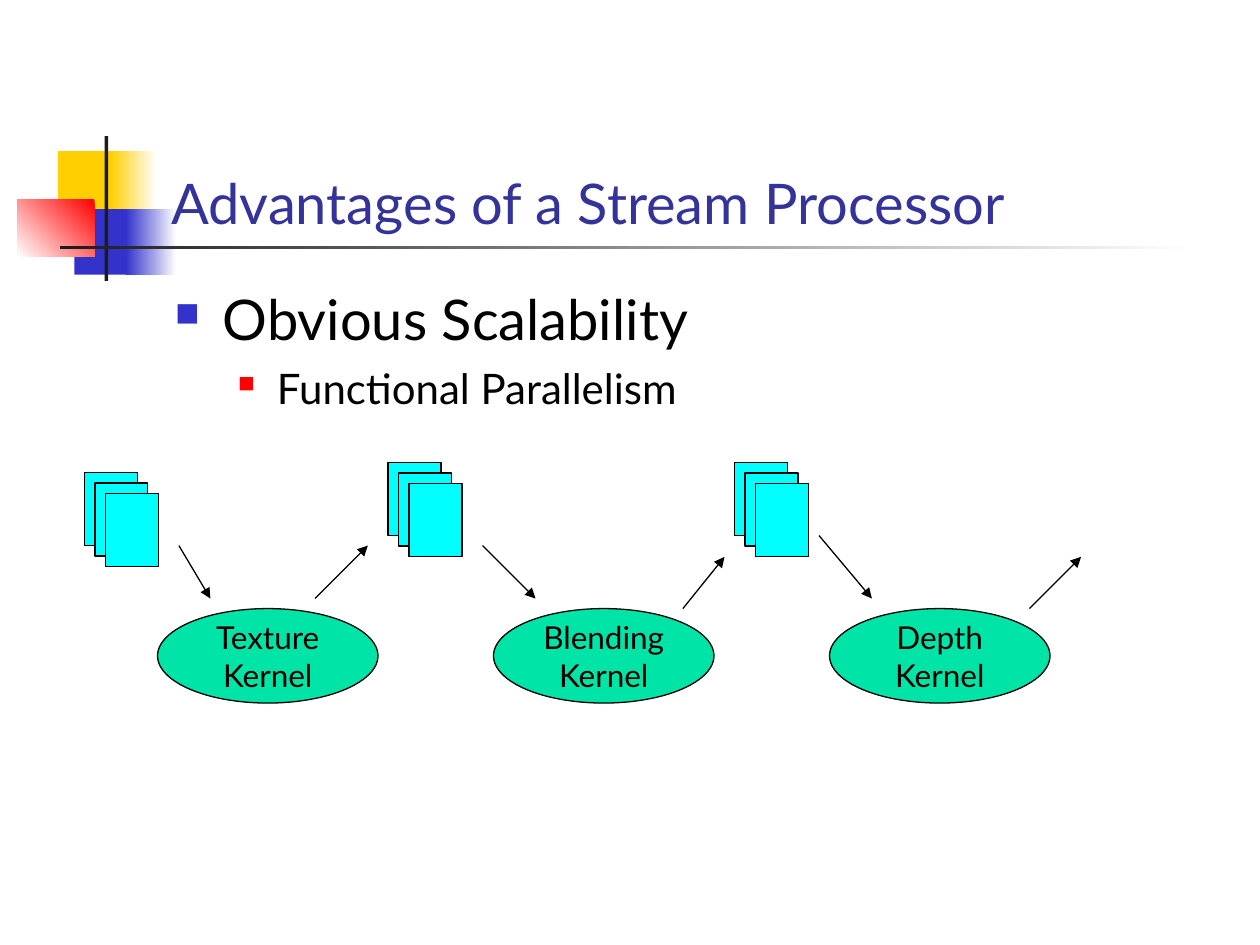
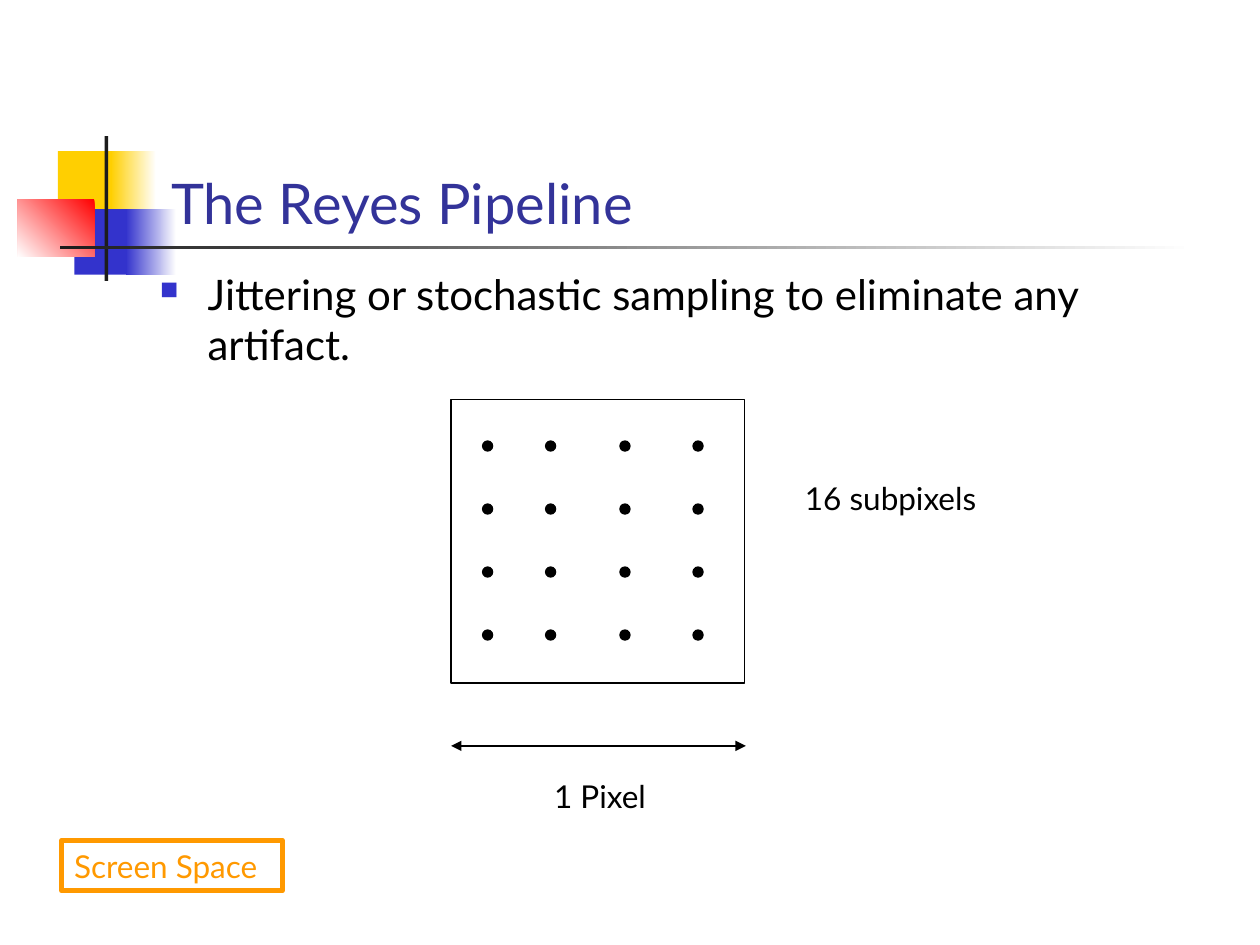
"""Build two slides on stream processors and the Reyes pipeline."""
from lxml.etree import SubElement
from pptx import Presentation
from pptx.dml.color import RGBColor
from pptx.enum.shapes import MSO_CONNECTOR, MSO_SHAPE
from pptx.enum.text import MSO_ANCHOR, PP_ALIGN
from pptx.oxml.ns import qn
from pptx.util import Inches, Pt

FONT = "Lato"
WHITE = RGBColor(0xFF, 0xFF, 0xFF)
BLACK = RGBColor(0x00, 0x00, 0x00)
CHARCOAL = RGBColor(0x1C, 0x1C, 0x1C)
YELLOW = RGBColor(0xFF, 0xCF, 0x01)
BLUE = RGBColor(0x33, 0x33, 0xCC)
RED = RGBColor(0xFF, 0x00, 0x00)
NAVY = RGBColor(0x33, 0x33, 0x99)
GREEN = RGBColor(0x00, 0xE4, 0xA8)
CYAN = RGBColor(0x00, 0xFF, 0xFF)
ORANGE = RGBColor(0xFF, 0x99, 0x00)


def draw(parent, kind, place, fill=None, line=None, width=0.75):
    """Add a preset shape with an optional flat fill and outline."""
    shape = parent.shapes.add_shape(kind, *[Inches(length) for length in place])
    shape.shadow.inherit = False
    if fill is None:
        shape.fill.background()
    else:
        shape.fill.solid()
        shape.fill.fore_color.rgb = fill
    if line is None:
        shape.line.fill.background()
    else:
        shape.line.color.rgb = line
        shape.line.width = Pt(width)
    return shape


def write(box, text, size, color=BLACK, align=PP_ALIGN.LEFT, anchor=MSO_ANCHOR.TOP):
    """Put text into a box, one paragraph a line."""
    frame = box.text_frame
    frame.text = text
    frame.word_wrap = True
    frame.vertical_anchor = anchor
    for para in frame.paragraphs:
        para.alignment = align
        for span in para.runs:
            span.font.name = FONT
            span.font.size = Pt(size)
            span.font.color.rgb = color
    return frame


deck = Presentation()
deck.slide_width = Inches(10)
deck.slide_height = Inches(7.5)

ornaments = [
    ((0.46, 1.2, 0.48, 0.52), YELLOW, None, 0),
    ((0.88, 1.2, 0.36, 0.52), WHITE, YELLOW, 180),
    ((0.59, 1.66, 0.46, 0.52), BLUE, None, 0),
    ((1, 1.66, 0.4, 0.52), WHITE, BLUE, 180),
    ((0.14, 1.58, 0.61, 0.46), RED, WHITE, 225),
    ((0.83, 1.08, 0.03, 1.15), CHARCOAL, None, 0),
    ((0.48, 1.95, 9, 0.03), WHITE, CHARCOAL, 180),
]
pages = []
for title in ("Advantages of a Stream Processor", "The Reyes Pipeline"):
    page = deck.slides.add_slide(deck.slide_layouts[6])
    pages.append(page)
    for place, start, end, angle in ornaments:
        ornament = draw(page, MSO_SHAPE.RECTANGLE, place, start)
        if end is not None:
            ornament.fill.gradient()
            ornament.fill.gradient_angle = angle
            for stop, color in zip(ornament.fill.gradient_stops, (start, end)):
                stop.color.rgb = color
    box = page.shapes.add_textbox(Inches(1.26), Inches(0.67), Inches(8.52), Inches(1.25))
    write(box, title, 32, NAVY, anchor=MSO_ANCHOR.BOTTOM)
stream_page, reyes_page = pages

outlines = [
    (stream_page, (1.29, 2.21, 8.5, 4.5), [
        ("Obvious Scalability", 32, 0.38, 0.38, BLUE, 60),
        ("Functional Parallelism", 24, 0.81, 0.31, RED, 55),
    ]),
    (reyes_page, (1.17, 2.08, 8.5, 0.42), [
        ("Jittering or stochastic sampling to eliminate any artifact.", 24, 0.38, 0.38, BLUE, 60),
    ]),
]
for page, place, items in outlines:
    box = page.shapes.add_textbox(*[Inches(length) for length in place])
    frame = write(box, "\n".join(item[0] for item in items), 24)
    for index, (para, item) in enumerate(zip(frame.paragraphs, items)):
        text, size, margin, hanging, color, percent = item
        properties = para._p.get_or_add_pPr()
        properties.set("marL", str(Inches(margin)))
        properties.set("indent", str(-Inches(hanging)))
        bullet_color = SubElement(properties, qn("a:buClr"))
        SubElement(bullet_color, qn("a:srgbClr"), val=str(color))
        SubElement(properties, qn("a:buSzPct"), val=str(percent * 1000))
        SubElement(properties, qn("a:buChar"), char="■")
        para.space_before = Pt(6 if index else 0)
        para.runs[0].font.size = Pt(size)

for index, kernel in enumerate(("Texture", "Blending", "Depth")):
    place = (1.25 + index * 8 / 3, 4.83, 1.75, 0.75)
    ellipse = draw(stream_page, MSO_SHAPE.OVAL, place, GREEN, BLACK)
    write(ellipse, f"{kernel}\nKernel", 18, align=PP_ALIGN.CENTER, anchor=MSO_ANCHOR.MIDDLE)

for left, top in ((0.67, 3.75), (3.08, 3.67), (5.83, 3.67)):
    stack = stream_page.shapes.add_group_shape()
    for step in range(3):
        offset = step / 12
        place = (left + offset, top + offset, 0.42, 0.58)
        draw(stack, MSO_SHAPE.RECTANGLE, place, CYAN, BLACK)

draw(reyes_page, MSO_SHAPE.RECTANGLE, (3.58, 3.17, 2.33, 2.25), line=BLACK)
for row in range(4):
    for left in (3.83, 4.33, 4.92, 5.5):
        draw(reyes_page, MSO_SHAPE.OVAL, (left, 3.5 + row * 0.5, 0.08, 0.08), BLACK, BLACK)

screen_label = draw(reyes_page, MSO_SHAPE.RECTANGLE, (0.49, 6.67, 1.75, 0.4), line=ORANGE, width=3)
write(screen_label, "Screen Space", 18, ORANGE)
for text, left, top, width in (("1 Pixel", 4.3, 6.12, 0.96), ("16 subpixels", 6.29, 3.75, 1.65)):
    box = reyes_page.shapes.add_textbox(Inches(left), Inches(top), Inches(width), Inches(0.4))
    write(box, text, 18)

arrows = [
    (stream_page, (1.42, 4.33, 1.67, 4.75), ["tailEnd"]),
    (stream_page, (3.83, 4.33, 4.25, 4.75), ["tailEnd"]),
    (stream_page, (6.5, 4.25, 6.92, 4.75), ["tailEnd"]),
    (stream_page, (2.5, 4.75, 2.92, 4.33), ["tailEnd"]),
    (stream_page, (5.42, 4.83, 5.75, 4.42), ["tailEnd"]),
    (stream_page, (8.17, 4.83, 8.58, 4.42), ["tailEnd"]),
    (reyes_page, (3.58, 5.92, 5.92, 5.92), ["headEnd", "tailEnd"]),
]
for page, ends, heads in arrows:
    arrow = page.shapes.add_connector(MSO_CONNECTOR.STRAIGHT, *[Inches(length) for length in ends])
    arrow.line.color.rgb = BLACK
    arrow.line.width = Pt(0.75)
    for head in heads:
        SubElement(arrow.line._get_or_add_ln(), qn(f"a:{head}"), type="triangle")
    SubElement(arrow._element.spPr, qn("a:effectLst"))

deck.save("out.pptx")
